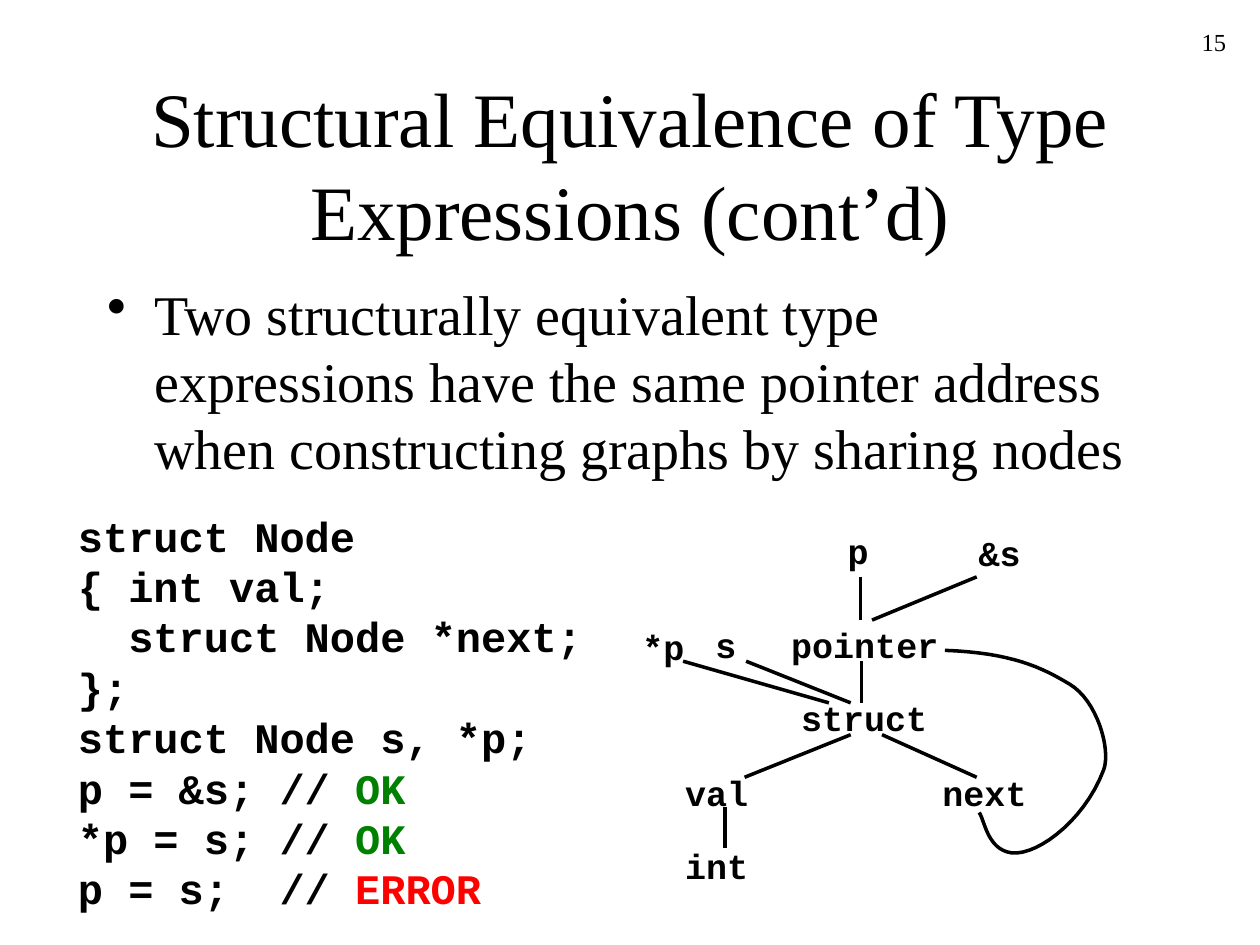
from lxml.etree import SubElement
from pptx import Presentation
from pptx.dml.color import RGBColor
from pptx.enum.shapes import MSO_CONNECTOR as Link
from pptx.enum.text import MSO_ANCHOR as Anchor, PP_ALIGN as Align
from pptx.oxml.ns import qn
from pptx.util import Cm, Pt

HUES = {"ink": "000000", "good": "008000", "bad": "FF0000"}
SERIF, MONO = "Times New Roman", "Courier New"

CODE = [
    [("struct Node", "ink")],
    [("{ int val;", "ink")],
    [("  struct Node *next;", "ink")],
    [("};", "ink")],
    [("struct Node s, *p;", "ink")],
    [("p = &s; // ", "ink"), ("OK", "good")],
    [("*p = s; // ", "ink"), ("OK", "good")],
    [("p = s;  // ", "ink"), ("ERROR", "bad")],
]

# Graph parts in cm from the graph's corner: name, left, top, width
NODES = [
    ("p", 4.14, 0, 0.94), ("&s", 6.78, 0.05, 1.57),
    ("*p", 0, 1.95, 1.47), ("s", 1.47, 1.9, 0.94),
    ("pointer", 3, 1.9, 3.48), ("struct", 3.2, 3.38, 3.05),
    ("val", 0.86, 4.88, 1.78), ("next", 6.05, 4.88, 2.21),
    ("int", 0.86, 6.35, 1.78),
]
EDGES = [
    (4.65, 1.09, 4.65, 1.96),  # p to pointer
    (6.99, 1.09, 4.88, 1.96),  # &s to pointer
    (4.67, 2.79, 4.67, 3.63),  # pointer to struct
    (1.07, 2.79, 4.01, 3.63),  # *p to struct
    (2.34, 2.79, 4.45, 3.63),  # s to struct
    (4.45, 4.27, 2.31, 5.13),  # struct to val
    (5.08, 4.27, 6.99, 5.13),  # struct to next
    (1.91, 5.72, 1.91, 6.55),  # val to int
]
# Bezier knots of the loop from next back to pointer
LOOP = [
    (7.04, 5.84), (7.14, 5.97), (7.19, 6.5), (7.59, 6.63),
    (8.08, 6.81), (9.14, 6.07), (9.55, 4.98),
    (9.7, 4.57), (9.42, 3.58), (8.86, 3.25),
    (8.31, 2.92), (7.7, 2.62), (6.35, 2.57),
]


def color(name):
    return RGBColor.from_string(HUES[name])


def add_text(slide, box, wrap=True):
    frame = slide.shapes.add_textbox(*map(Cm, box)).text_frame
    frame.word_wrap = wrap
    return frame


def style(para, size, face, bold=False, align=Align.LEFT):
    para.alignment = align
    para.line_spacing = Pt(round(size * 1.2, 2))
    font = para.font
    font.size, font.name, font.bold = Pt(size), face, bold
    font.color.rgb = color("ink")


def add_number(slide, box):
    para = add_text(slide, box).paragraphs[0]
    para.text = "15"
    style(para, 14, SERIF, align=Align.RIGHT)


def add_title(slide, box):
    frame = add_text(slide, box)
    frame.vertical_anchor = Anchor.MIDDLE
    para = frame.paragraphs[0]
    para.text = "Structural Equivalence of Type Expressions (cont’d)"
    style(para, 44, SERIF, align=Align.CENTER)


def add_body(slide, box):
    para = add_text(slide, box).paragraphs[0]
    para.text = ("Two structurally equivalent type expressions have the same "
                 "pointer address when constructing graphs by sharing nodes")
    props = para._p.get_or_add_pPr()
    props.set("marL", str(Cm(0.95)))
    props.set("indent", str(-Cm(0.95)))
    SubElement(props, qn("a:buChar")).set("char", "•")
    style(para, 32, SERIF)


def add_code(slide, box):
    frame = add_text(slide, box, wrap=False)
    for i, parts in enumerate(CODE):
        para = frame.add_paragraph() if i else frame.paragraphs[0]
        style(para, 24, MONO, bold=True)
        for text, hue in parts:
            run = para.add_run()
            run.text = text
            if hue != "ink":
                run.font.color.rgb = color(hue)


def bend(knots, steps=16):
    """Points along a chain of cubic Bezier curves."""
    points = [knots[0]]
    for k in range(0, len(knots) - 1, 3):
        for n in range(1, steps + 1):
            t = n / steps
            u = 1 - t
            weights = (u**3, 3 * u * u * t, 3 * u * t * t, t**3)
            points.append(tuple(
                sum(w * knot[axis] for w, knot in zip(weights, knots[k:k + 4]))
                for axis in (0, 1)))
    return points


def ink_line(shape):
    shape.line.color.rgb = color("ink")
    shape.line.width = Pt(2)


def add_graph(slide, left, top):
    # Node labels
    for name, x, y, width in NODES:
        frame = add_text(slide, (left + x, top + y, width, 1.12), wrap=False)
        para = frame.paragraphs[0]
        para.text = name
        style(para, 20, MONO, bold=True)
    # Straight edges
    for x1, y1, x2, y2 in EDGES:
        ends = (left + x1, top + y1, left + x2, top + y2)
        edge = slide.shapes.add_connector(Link.STRAIGHT, *map(Cm, ends))
        ink_line(edge)
        SubElement(edge._element.spPr, qn("a:effectLst"))
    # Curved edge
    points = [(Cm(left + x), Cm(top + y)) for x, y in bend(LOOP)]
    path = slide.shapes.build_freeform(*points[0])
    path.add_line_segments(points[1:], close=False)
    curve = path.convert_to_shape()
    curve.fill.background()
    curve.shadow.inherit = False
    ink_line(curve)


def main():
    deck = Presentation()
    deck.slide_width, deck.slide_height = Cm(25.4), Cm(19.05)
    slide = deck.slides.add_slide(deck.slide_layouts[6])
    add_number(slide, (19.69, 0.43, 5.28, 1.27))
    add_title(slide, (1.91, 1.7, 21.59, 3.18))
    add_body(slide, (1.91, 5.51, 21.59, 11.43))
    add_code(slide, (1.32, 10.16, 10.67, 8.38))
    add_graph(slide, 12.7, 10.54)
    deck.save("out.pptx")


if __name__ == "__main__":
    main()
